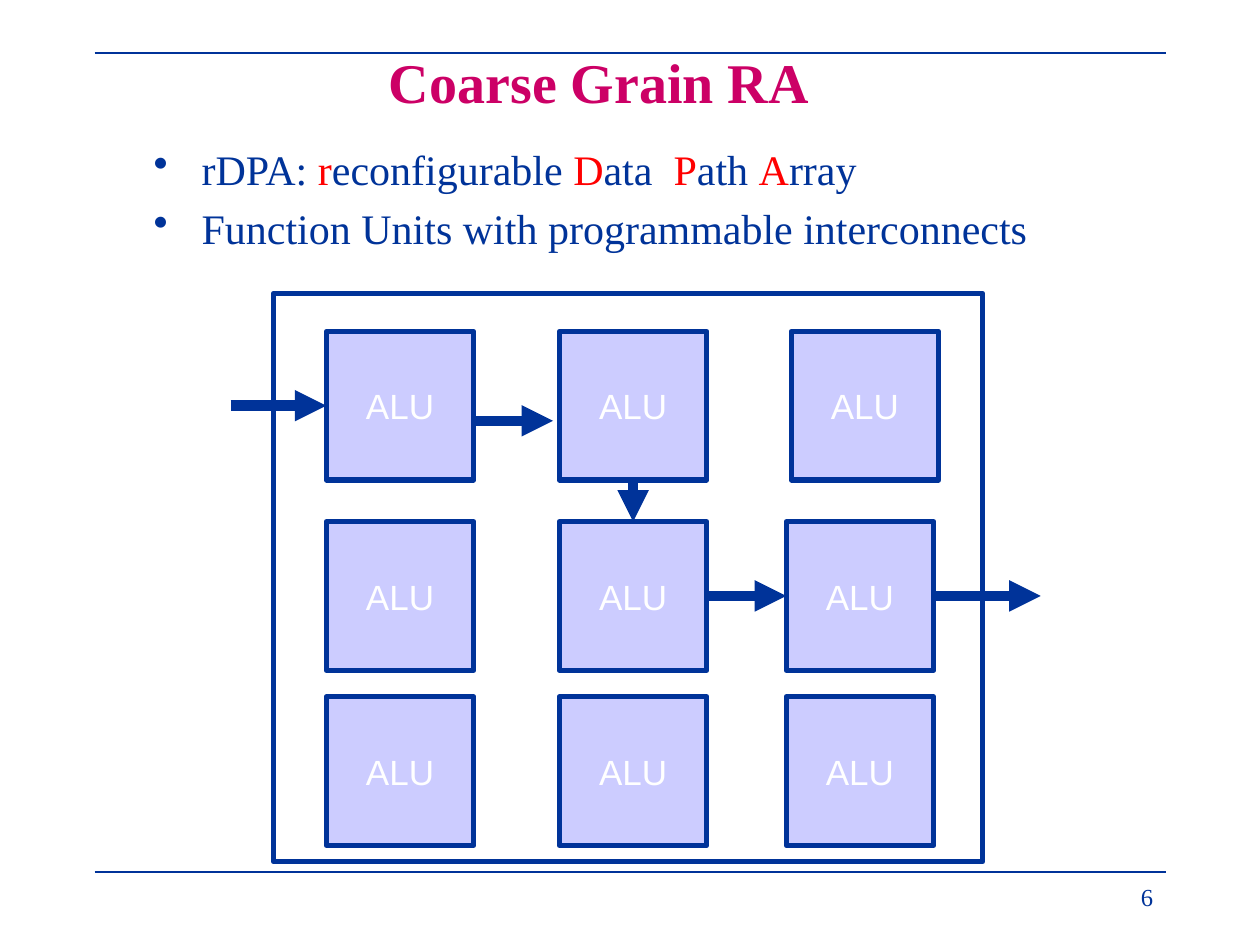
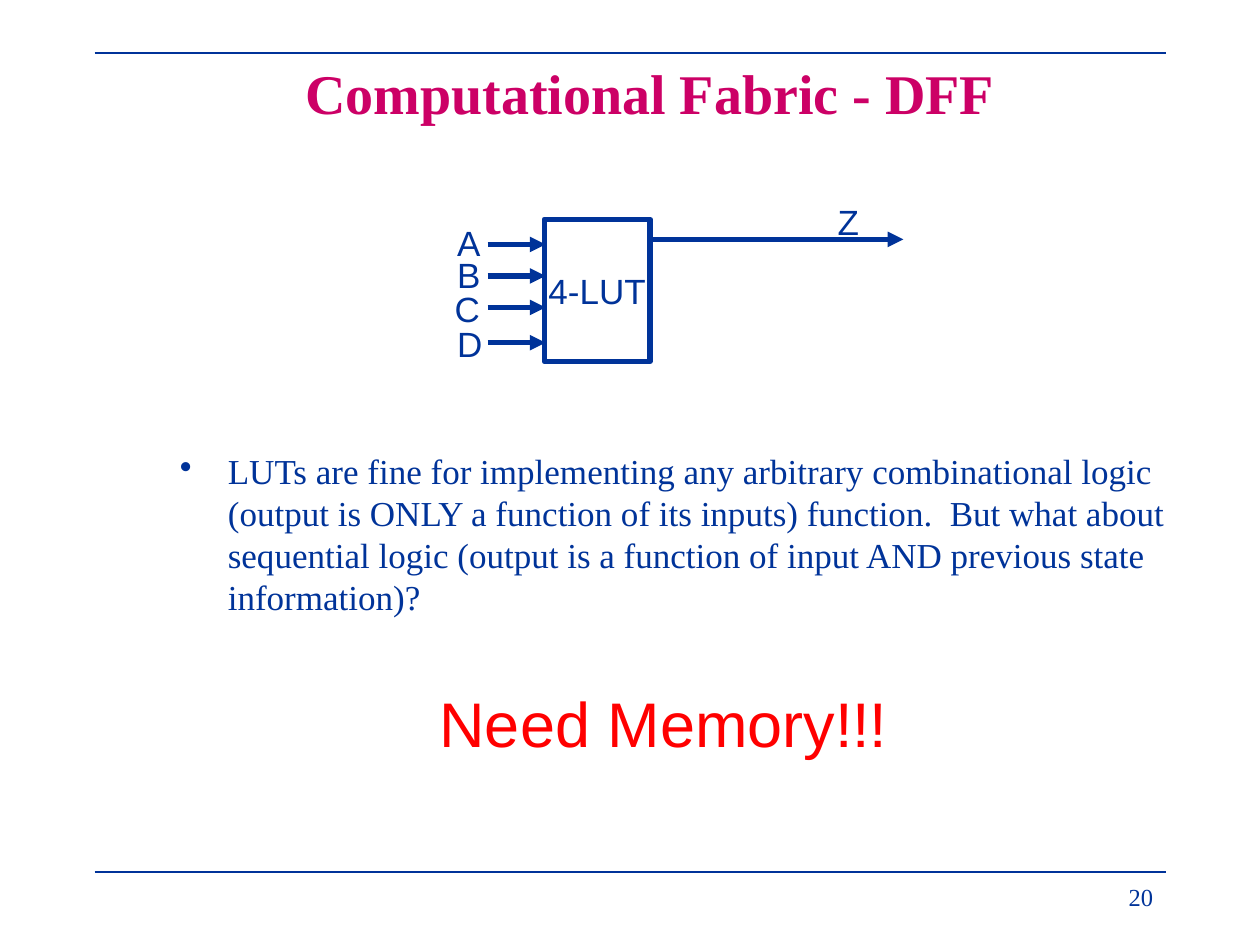
from pptx import Presentation
from pptx.dml.color import RGBColor
from pptx.enum.shapes import MSO_CONNECTOR, MSO_SHAPE
from pptx.enum.text import MSO_ANCHOR, MSO_AUTO_SIZE, PP_ALIGN
from pptx.oxml.ns import qn
from pptx.util import Emu, Pt
from lxml.etree import SubElement

PX = 9144  # one hundredth of an inch
NAVY, PINK, RED, LILAC, WHITE = "003399", "CC0066", "FF0000", "CCCCFF", "FFFFFF"
SERIF, SANS = "Times New Roman", "Arial"
TOP, LEFT, BOTTOM, RIGHT = range(4)


def px(*sizes):
    return [Emu(size * PX) for size in sizes]


def rgb(code):
    return RGBColor.from_string(code)


def add_run(para, text, size, font, color, bold=False):
    run = para.add_run()
    run.text = text
    run.font.size = Pt(size)
    run.font.name = font
    run.font.bold = bold
    run.font.color.rgb = rgb(color)


def add_box(slide, box, sides=10):
    """Add a wrapping text box with the given side insets; return its frame."""
    frame = slide.shapes.add_textbox(*px(*box)).text_frame
    frame.word_wrap = True
    frame.margin_left, frame.margin_right = px(sides, sides)
    return frame


def add_label(slide, text, box, size=20, color=NAVY):
    frame = add_box(slide, box)
    frame.word_wrap = False
    frame.auto_size = MSO_AUTO_SIZE.SHAPE_TO_FIT_TEXT
    add_run(frame.paragraphs[0], text, size, SANS, color)


def add_title(slide, text, box):
    frame = add_box(slide, box, 30)
    frame.vertical_anchor = MSO_ANCHOR.MIDDLE
    para = frame.paragraphs[0]
    para.alignment = PP_ALIGN.CENTER
    add_run(para, text, 32, SERIF, PINK, True)


def add_bullets(slide, items, box, size, sides=10):
    """Add bulleted paragraphs, each a list of (text, color) runs."""
    frame = add_box(slide, box, sides)
    for index, runs in enumerate(items):
        para = frame.add_paragraph() if index else frame.paragraphs[0]
        props = para._p.get_or_add_pPr()
        props.set("marL", str(38 * PX))
        props.set("indent", str(-38 * PX))
        SubElement(props, qn("a:buChar")).set("char", "•")
        if index:
            para.space_before = Pt(size / 5)
        for text, color in runs:
            add_run(para, text, size, SERIF, color)


def add_rect(slide, box, text="", fill=None, color=NAVY):
    rect = slide.shapes.add_shape(MSO_SHAPE.RECTANGLE, *px(*box))
    rect.shadow.inherit = False
    rect.line.color.rgb = rgb(NAVY)
    rect.line.width = Pt(3)
    if fill:
        rect.fill.solid()
        rect.fill.fore_color.rgb = rgb(fill)
    else:
        rect.fill.background()
    if text:
        frame = rect.text_frame
        frame.word_wrap = False
        frame.vertical_anchor = MSO_ANCHOR.MIDDLE
        para = frame.paragraphs[0]
        para.alignment = PP_ALIGN.CENTER
        add_run(para, text, 20, SANS, color)
    return rect


def add_line(slide, ends, width):
    line = slide.shapes.add_connector(MSO_CONNECTOR.STRAIGHT, *px(*ends))
    line.line.color.rgb = rgb(NAVY)
    line.line.width = Pt(width)
    SubElement(line._element.spPr, qn("a:effectLst"))
    return line


def add_arrow(slide, ends, width, start=None, stop=None):
    """Add an arrow; start and stop are (rectangle, side) pairs to join."""
    arrow = add_line(slide, ends, width)
    SubElement(arrow.line._get_or_add_ln(), qn("a:tailEnd")).set("type", "triangle")
    if start:
        arrow.begin_connect(*start)
    if stop:
        arrow.end_connect(*stop)


def add_slide(deck, number):
    """Add a blank slide with the shared rules and page number."""
    slide = deck.slides.add_slide(deck.slide_layouts[6])
    for y in (692, 42):
        add_line(slide, (75, y, 925, y), 0.75)
    para = add_box(slide, (717, 695, 208, 39)).paragraphs[0]
    para.alignment = PP_ALIGN.RIGHT
    add_run(para, str(number), 14, SERIF, NAVY)
    return slide


def draw_grain(deck):
    slide = add_slide(deck, 6)
    add_title(slide, "Coarse Grain RA", (35, 2, 881, 125))
    name = [("rDPA: ", NAVY), ("r", RED), ("econfigurable ", NAVY), ("D", RED),
            ("ata  ", NAVY), ("P", RED), ("ath ", NAVY), ("A", RED), ("rray", NAVY)]
    units = [("Function Units with programmable interconnects", NAVY)]
    add_bullets(slide, [name, units], (122, 109, 858, 128), 24, 0)

    add_rect(slide, (217, 233, 563, 451))
    rows = ((263, 628), (414, 624), (553, 624))  # top, left of last column
    grid = [[add_rect(slide, (x, y, 117, 118), "ALU", LILAC, WHITE)
             for x in (259, 444, last)] for y, last in rows]
    (first, second, _), (_, center, final), _ = grid

    add_arrow(slide, (376, 334, 439, 334), 6)
    add_arrow(slide, (502, 381, 502, 414), 6, (second, BOTTOM), (center, TOP))
    add_arrow(slide, (183, 322, 259, 322), 6, stop=(first, LEFT))
    add_arrow(slide, (561, 473, 624, 473), 6, (center, RIGHT), (final, LEFT))
    add_arrow(slide, (741, 473, 826, 473), 6, start=(final, RIGHT))


def draw_fabric(deck):
    slide = add_slide(deck, 20)
    add_title(slide, "Computational Fabric - DFF", (91, 11, 850, 125))
    text = ("LUTs are fine for implementing any arbitrary combinational logic "
            "(output is ONLY a function of its inputs) function.  But what about "
            "sequential logic (output is a function of input AND previous state "
            "information)?")
    add_bullets(slide, [[(text, NAVY)]], (133, 352, 842, 272), 20)

    add_rect(slide, (432, 174, 84, 113), "4-LUT")
    inputs = (("A", 353, 171, 194), ("B", 353, 196, 219),
              ("C", 351, 223, 244), ("D", 353, 251, 272))
    for pin, x, top, y in inputs:
        add_label(slide, pin, (x, top, 40, 43))
        add_arrow(slide, (387, y, 433, y), 3)
    add_label(slide, "Z", (655, 154, 37, 43))
    add_arrow(slide, (517, 190, 717, 190), 3)
    add_label(slide, "Need Memory!!!", (339, 538, 376, 70), 36, RED)


def main():
    deck = Presentation()
    deck.slide_width, deck.slide_height = px(1000, 750)
    draw_grain(deck)
    draw_fabric(deck)
    deck.save("out.pptx")


if __name__ == "__main__":
    main()
